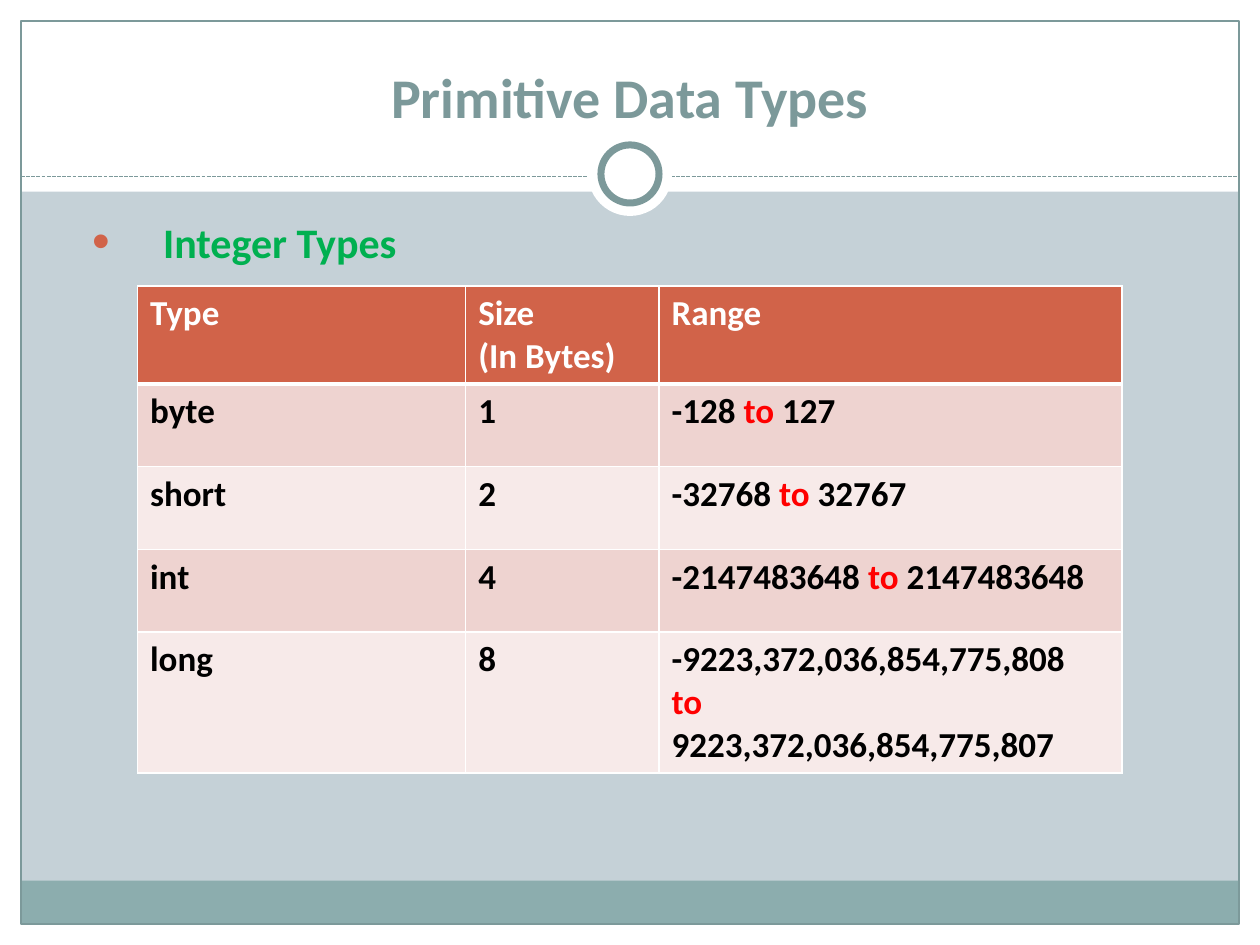
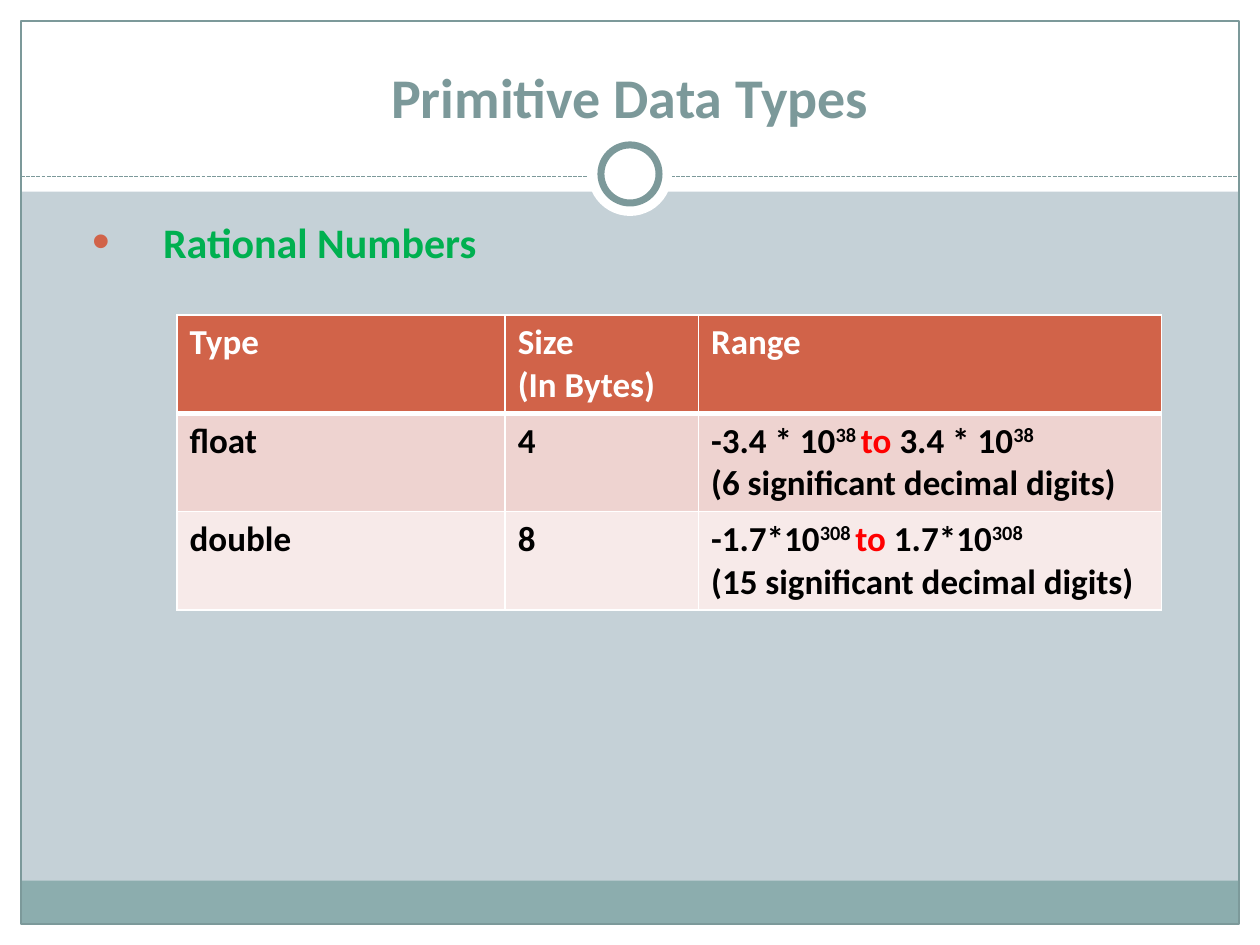
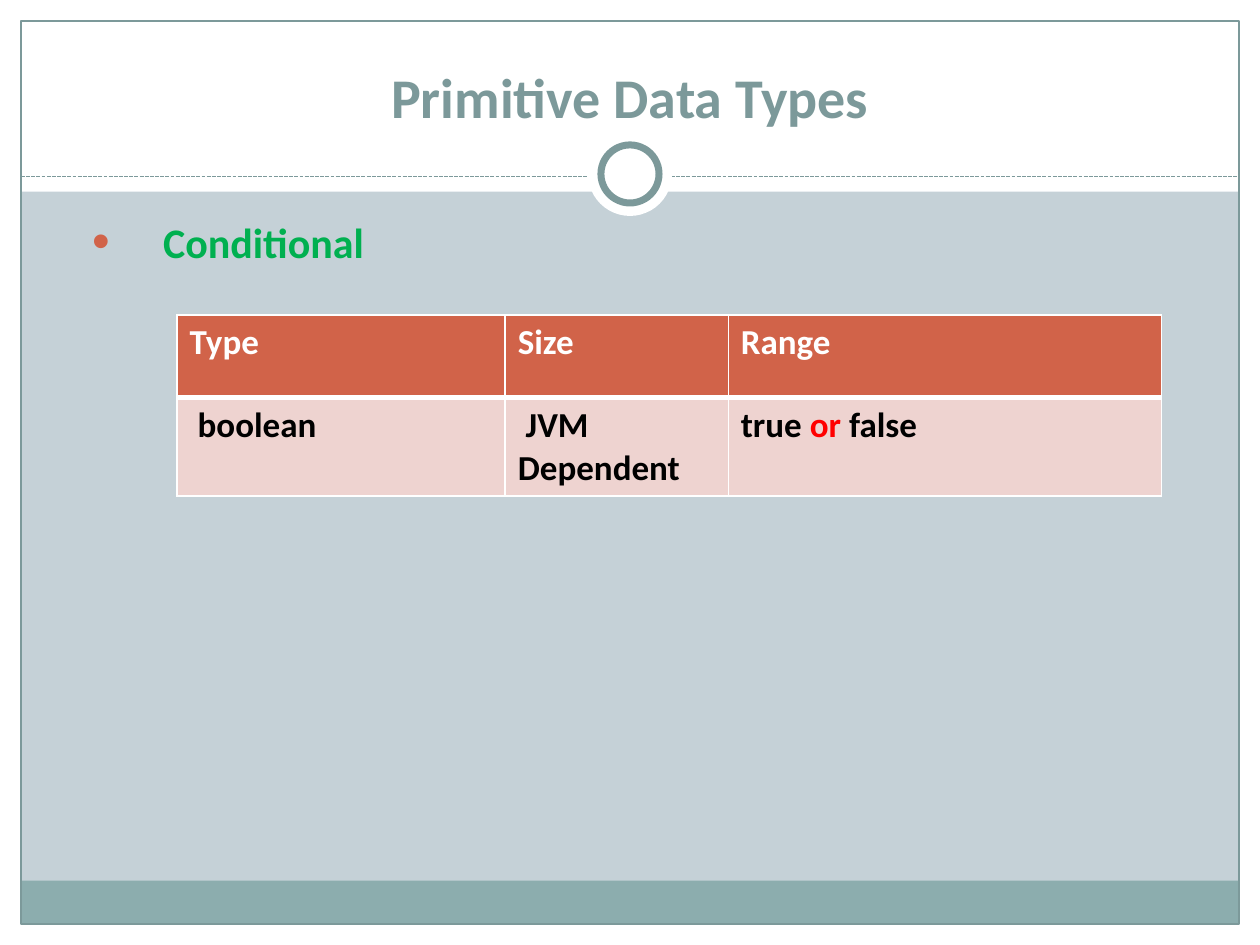
from lxml import etree
from pptx import Presentation
from pptx.dml.color import RGBColor
from pptx.enum.dml import MSO_LINE
from pptx.enum.shapes import MSO_CONNECTOR, MSO_SHAPE
from pptx.enum.text import MSO_ANCHOR, MSO_AUTO_SIZE, PP_ALIGN
from pptx.oxml.ns import qn
from pptx.util import Pt

RECT, OVAL, STRAIGHT = MSO_SHAPE.RECTANGLE, MSO_SHAPE.OVAL, MSO_CONNECTOR.STRAIGHT
DASH, CENTER = MSO_LINE.SQUARE_DOT, PP_ALIGN.CENTER
TOP, BOTTOM, NO_FIT = MSO_ANCHOR.TOP, MSO_ANCHOR.BOTTOM, MSO_AUTO_SIZE.NONE

# Style
WIDTH, HEIGHT, MARGIN = 720, 540, 12
WHITE, BLACK, RED, GREEN = "FFFFFF", "000000", "FF0000", "00B050"
BACKGROUND, BAND, SLATE, RUST = "C5D1D7", "8CADAE", "7C999A", "D16349"
ROW_FILLS = ["EED3D0", "F7EAE9"]
TITLE_FONT = {"name": "Calibri", "size": Pt(32), "bold": True}
BODY_FONT = {"name": "Calibri", "size": Pt(24), "bold": True}
CELL_FONT = {"name": "Calibri", "size": Pt(20), "bold": True}
ROW_HEIGHT = 47.2

# In cells, "|" parts the runs, "^" raises a run and "\n" starts a paragraph
HEADER = ["Type", "Size\n(In Bytes)", "Range"]
RED_WORDS = ("to", "or")
WIDE_RANGE = [187.5, 110.5, 264.5]
TABLES = [
    ("Integer Types", (78.6, 163.3), WIDE_RANGE, [
        HEADER,
        ["byte", "1", "-128 |to| 127"],
        ["short", "2", "-32768 |to| 32767"],
        ["int", "4", "-2147483648 |to| 2147483648"],
        ["long", "8", "-9223,372,036,854,775,808\nto\n9223,372,036,854,775,807"],
    ]),
    ("Rational Numbers", (101.2, 180), WIDE_RANGE, [
        HEADER,
        ["float", "4", "-3.4 * 10|^38 |to |3.4 * 10|^38\n(6 significant decimal digits)"],
        ["double", "8", "-1.7*10|^308 |to| 1.7*10|^308\n(15 significant decimal digits)"],
    ]),
    ("Conditional", (101.2, 180), [187.5, 127.5, 247.5], [
        ["Type", "Size", "Range"],
        [" boolean", " JVM Dependent", "true |or |false"],
    ]),
]


def rgb(color):
    return RGBColor.from_string(color)


def sub(parent, tag, **attrs):
    return etree.SubElement(parent, qn(tag), attrs)


class Deck:
    def __init__(self):
        self.prs = Presentation()
        self.prs.slide_width, self.prs.slide_height = Pt(WIDTH), Pt(HEIGHT)
        self.layout = self.prs.slide_layouts[1]
        self.s = None

    def new_slide(self):
        self.s = self.prs.slides.add_slide(self.layout)

    def shape(self, kind, x, y, w, h, fill=None, line=None, weight=0.75):
        sp = self.s.shapes.add_shape(kind, Pt(x), Pt(y), Pt(w), Pt(h))
        sp.shadow.inherit = False
        if fill:
            sp.fill.solid()
            sp.fill.fore_color.rgb = rgb(fill)
        else:
            sp.fill.background()
        if line:
            sp.line.color.rgb = rgb(line)
            sp.line.width = Pt(weight)
        else:
            sp.line.fill.background()
        return sp

    def circle(self, cx, cy, d, **look):
        return self.shape(OVAL, cx - d / 2, cy - d / 2, d, d, **look)

    def dashed_line(self, x1, x2, y):
        ln = self.s.shapes.add_connector(STRAIGHT, Pt(x1), Pt(y), Pt(x2), Pt(y))
        ln.line.color.rgb = rgb(SLATE)
        ln.line.width, ln.line.dash_style = Pt(0.75), DASH
        sub(ln._element.spPr, "a:effectLst")
        return ln

    def frame(self):
        """Draw the shared frame, then move it from the slide to its layout."""
        inner, base = WIDTH - 2 * MARGIN, HEIGHT - MARGIN
        parts = [self.shape(RECT, *box, fill=WHITE) for box in (
            (0, base, WIDTH, MARGIN), (0, 0, WIDTH, 109.5),
            (0, 0, MARGIN, HEIGHT), (WIDTH - MARGIN, 0, MARGIN, HEIGHT))]
        parts += [
            self.shape(RECT, MARGIN, 503.2, inner, base - 503.2, fill=BAND),
            self.shape(RECT, MARGIN, MARGIN, inner, base - MARGIN, line=SLATE),
            self.dashed_line(MARGIN, WIDTH - MARGIN, 100.8),
            self.circle(WIDTH / 2, 99.4, 48, fill=WHITE),
            self.circle(WIDTH / 2, 99.4, 33.2, fill=WHITE, line=SLATE, weight=4),
        ]
        for ph in list(self.layout.placeholders)[2:]:
            ph._element.getparent().remove(ph._element)
        tree = self.layout.shapes._spTree
        for i, sp in enumerate(parts):
            tree.insert(2 + i, sp._element)
        bg = self.layout.background.fill
        bg.solid()
        bg.fore_color.rgb = rgb(BACKGROUND)

    def run(self, p, text, font, color):
        r = p.add_run()
        r.text = text
        for name, value in font.items():
            setattr(r.font, name, value)
        r.font.color.rgb = rgb(color)
        return r

    def placeholder(self, index, box, anchor):
        sp = self.s.placeholders[index]
        for name, value in zip(("left", "top", "width", "height"), box):
            setattr(sp, name, Pt(value))
        tf = sp.text_frame
        tf.word_wrap, tf.auto_size, tf.vertical_anchor = True, NO_FIT, anchor
        return tf.paragraphs[0]

    def title(self, text):
        p = self.placeholder(0, (24, 18, 672, 60), BOTTOM)
        p.alignment = CENTER
        self.run(p, text, TITLE_FONT, SLATE)

    def bullet(self, text):
        p = self.placeholder(1, (24, 120, 670, 382), TOP)
        p.space_before = Pt(0)
        pPr = p._p.get_or_add_pPr()
        pPr.set("marL", str(Pt(62)))
        pPr.set("indent", str(Pt(-40.5)))
        sub(sub(pPr, "a:buClr"), "a:srgbClr", val=RUST)
        sub(pPr, "a:buSzPct", val="120000")
        sub(pPr, "a:buFont", typeface="Arial")
        sub(pPr, "a:buChar", char="•")
        self.run(p, text, BODY_FONT, GREEN)

    def borders(self, cell, row):
        tcPr = cell._tc.get_or_add_tcPr()
        for edge in "LRTB":
            weight = 3 if (row, edge) in ((0, "B"), (1, "T")) else 1
            ln = sub(tcPr, "a:ln" + edge, w=str(Pt(weight)))
            sub(sub(ln, "a:solidFill"), "a:srgbClr", val=WHITE)

    def cell(self, cell, text, row):
        self.borders(cell, row)
        cell.fill.solid()
        cell.fill.fore_color.rgb = rgb(ROW_FILLS[(row - 1) % 2] if row else RUST)
        tf = cell.text_frame
        for i, line in enumerate(text.split("\n")):
            p = tf.add_paragraph() if i else tf.paragraphs[0]
            for part in line.split("|"):
                color = RED if part.strip() in RED_WORDS else BLACK
                r = self.run(p, part.lstrip("^"), CELL_FONT, color if row else WHITE)
                if part.startswith("^"):
                    r._r.get_or_add_rPr().set("baseline", "30000")

    def table(self, left, top, widths, rows):
        table = self.s.shapes.add_table(
            len(rows), len(widths), Pt(left), Pt(top),
            Pt(sum(widths)), Pt(ROW_HEIGHT * len(rows))).table
        table.horz_banding = False
        for col, width in zip(table.columns, widths):
            col.width = Pt(width)
        for i, texts in enumerate(rows):
            table.rows[i].height = Pt(ROW_HEIGHT)
            for j, text in enumerate(texts):
                self.cell(table.cell(i, j), text, i)


def main():
    deck = Deck()
    for i, (topic, corner, widths, rows) in enumerate(TABLES):
        deck.new_slide()
        if i == 0:
            deck.frame()
        deck.title("Primitive Data Types")
        deck.bullet(topic)
        deck.table(*corner, widths, rows)
    deck.prs.save("out.pptx")


if __name__ == "__main__":
    main()
